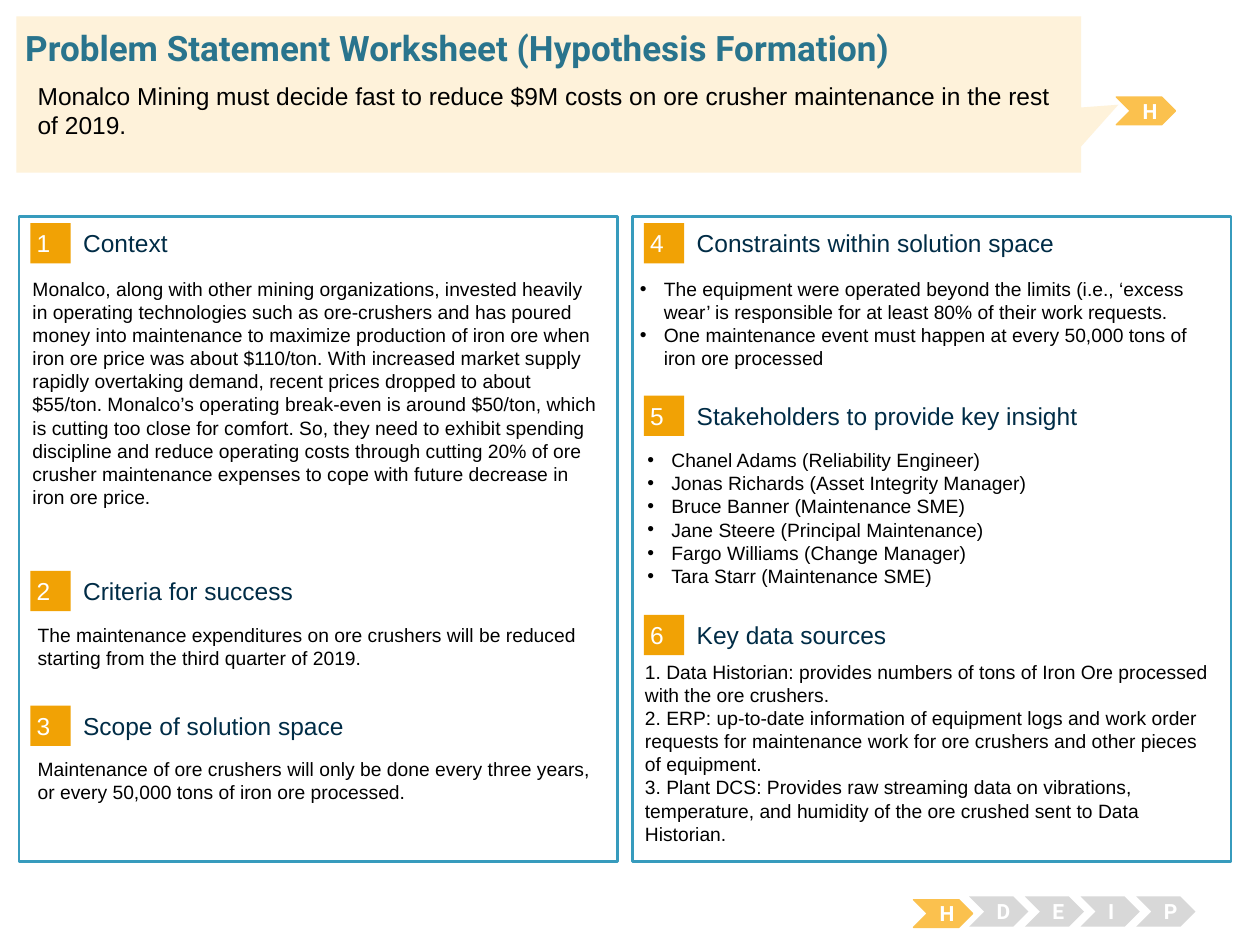
from lxml.etree import SubElement
from pptx import Presentation
from pptx.dml.color import RGBColor
from pptx.enum.shapes import MSO_SHAPE as Shape
from pptx.enum.text import MSO_ANCHOR as Anchor, PP_ALIGN as Align
from pptx.oxml.ns import qn
from pptx.util import Inches, Pt

# Grid: 100 columns by 75 rows, square cells
COLS, ROWS = 100, 75
CELL = Inches(0.1)
COLOURS = {
    "white": "FFFFFF", "black": "000000", "frame": "379BBD", "badge": "F1A205",
    "heading": "002C46", "title": "29748D", "banner": "FEF2DA",
    "active": "FBC14E", "idle": "D8D8D8",
}
BODY_INSETS = (1, 0.5)


def rgb(name):
    return RGBColor.from_string(COLOURS[name])


def grid(*cells):
    return [round(n * CELL) for n in cells]


def add_block(slide, kind, box, fill, line=None, width=1.5, adjust=()):
    block = slide.shapes.add_shape(kind, *grid(*box))
    block.shadow.inherit = False
    block.fill.solid()
    block.fill.fore_color.rgb = rgb(fill)
    if line:
        block.line.color.rgb = rgb(line)
        block.line.width = Pt(width)
    else:
        block.line.fill.background()
    for i, value in enumerate(adjust):
        block.adjustments[i] = value
    return block


def add_bullet(paragraph):
    props = paragraph._p.get_or_add_pPr()
    indent = Inches(0.19)
    props.set("marL", str(indent))
    props.set("indent", str(-indent))
    SubElement(props, qn("a:buFont"), typeface="Arial")
    SubElement(props, qn("a:buChar"), char="•")


def write(holder, *lines, size=11, font="Arial", colour="black", bold=False,
          align=Align.LEFT, anchor=Anchor.TOP, insets=BODY_INSETS, bullets=False):
    frame = holder.text_frame
    frame.word_wrap = True
    frame.vertical_anchor = anchor
    frame.margin_left = frame.margin_right = round(insets[0] * CELL)
    frame.margin_top = frame.margin_bottom = round(insets[1] * CELL)
    for i, line in enumerate(lines):
        paragraph = frame.add_paragraph() if i else frame.paragraphs[0]
        paragraph.alignment = align
        if bullets:
            add_bullet(paragraph)
        run = paragraph.add_run()
        run.text = line
        run.font.size, run.font.name, run.font.bold = Pt(size), font, bold
        run.font.color.rgb = rgb(colour)


def add_text(slide, box, *lines, **style):
    write(slide.shapes.add_textbox(*grid(*box)), *lines, **style)


def add_step(slide, left, top, letter, active=False):
    """One chevron of the stage tracker."""
    fill = "active" if active else "idle"
    step = add_block(slide, Shape.CHEVRON, (left, top, 4.7, 2.2 if active else 2.4),
                     fill, line=fill if active else None, width=0.75, adjust=[0.5])
    write(step, letter, size=12, font="Roboto", colour="white", bold=True,
          align=Align.CENTER, anchor=Anchor.MIDDLE)


def add_banner(slide, left, top, width, height):
    add_block(slide, Shape.RECTANGULAR_CALLOUT, (left, top, width, height),
              "banner", adjust=[0.535, 0.066])
    add_text(slide, (left + 0.7, top + 0.8, 96.2, 3.4),
             "Problem Statement Worksheet (Hypothesis Formation)",
             size=20, font="Roboto", colour="title", bold=True, insets=(0, 0))
    add_text(slide, (left + 0.7, top + 4.6, width - 0.7, 5.4),
             "Monalco Mining must decide fast to reduce $9M costs on ore crusher "
             "maintenance in the rest of 2019.", size=14)
    add_step(slide, left + width + 2.8, top + 6.4, "H", active=True)


def add_section(slide, left, top, number, heading, body):
    """Numbered heading with body text; body offsets are relative to the section."""
    badge = add_block(slide, Shape.RECTANGLE, (left + 0.9, top, 3.2, 3.2), "badge")
    write(badge, str(number), size=14, colour="white", anchor=Anchor.MIDDLE,
          insets=(0.5, 0.5))
    add_text(slide, (left + 5.1, top + 0.35, 39.3, 2.5), heading, size=14,
             colour="heading", anchor=Anchor.MIDDLE, insets=(0, 0))
    dx, dy, height = body["place"]
    add_text(slide, (left + dx, top + dy, 47.3, height), *body["lines"],
             bullets=body.get("bullets", False))


def add_panel(slide, left, top, width, height, first, sections):
    add_block(slide, Shape.RECTANGLE, (left, top, width, height), "white", line="frame")
    for number, (offset, heading, body) in enumerate(sections, first):
        add_section(slide, left, top + offset, number, heading, body)


def add_tracker(slide, left, top, letters, current):
    pitch = 4.42
    for i, letter in enumerate(letters):
        active = letter == current
        add_step(slide, left + i * pitch, top + (0.25 if active else 0), letter, active)


# Sections: rows below the panel top, heading, body
CAUSE_SECTIONS = [
    (0.5, "Context", {"place": (0.1, 3.8, 23.2), "lines": [
        "Monalco, along with other mining organizations, invested heavily in operating "
        "technologies such as ore-crushers and has poured money into maintenance to "
        "maximize production of iron ore when iron ore price was about $110/ton. With "
        "increased market supply rapidly overtaking demand, recent prices dropped to "
        "about $55/ton. Monalco’s operating break-even is around $50/ton, which is "
        "cutting too close for comfort. So, they need to exhibit spending discipline "
        "and reduce operating costs through cutting 20% of ore crusher maintenance "
        "expenses to cope with future decrease in iron ore price."]}),
    (28.1, "Criteria for success", {"place": (0.5, 3.7, 6.1), "lines": [
        "The maintenance expenditures on ore crushers will be reduced starting from "
        "the third quarter of 2019."]}),
    (38.8, "Scope of solution space", {"place": (0.5, 3.6, 5.3), "lines": [
        "Maintenance of ore crushers will only be done every three years, or every "
        "50,000 tons of iron ore processed."]}),
]
RESOURCE_SECTIONS = [
    (0.5, "Constraints within solution space",
     {"place": (-0.4, 3.8, 9), "bullets": True, "lines": [
         "The equipment were operated beyond the limits (i.e., ‘excess wear’ is "
         "responsible for at least 80% of their work requests.",
         "One maintenance event must happen at every 50,000 tons of iron ore processed"]}),
    (14.2, "Stakeholders to provide key insight",
     {"place": (0.2, 3.7, 13.2), "bullets": True, "lines": [
         "Chanel Adams (Reliability Engineer)",
         "Jonas Richards (Asset Integrity Manager)",
         "Bruce Banner (Maintenance SME)",
         "Jane Steere (Principal Maintenance)",
         "Fargo Williams (Change Manager)",
         "Tara Starr (Maintenance SME)"]}),
    (31.6, "Key data sources", {"place": (0, 3.1, 16.4), "lines": [
        "1. Data Historian: provides numbers of tons of Iron Ore processed with the "
        "ore crushers.",
        "2. ERP: up-to-date information of equipment logs and work order requests for "
        "maintenance work for ore crushers and other pieces of equipment.",
        "3. Plant DCS: Provides raw streaming data on vibrations, temperature, and "
        "humidity of the ore crushed sent to Data Historian."]}),
]

deck = Presentation()
deck.slide_width, deck.slide_height = grid(COLS, ROWS)
worksheet = deck.slides.add_slide(deck.slide_layouts[6])

# Two panels of three numbered sections
for column, sections in enumerate([CAUSE_SECTIONS, RESOURCE_SECTIONS]):
    add_panel(worksheet, 1.5 + column * 48.7, 17.2, 47.5, 51.2, 1 + 3 * column, sections)

# Stage tracker and headline
add_tracker(worksheet, 72.5, 71.15, "HDEIP", "H")
add_banner(worksheet, 1.3, 1.3, 84.5, 12.4)

deck.save("out.pptx")
